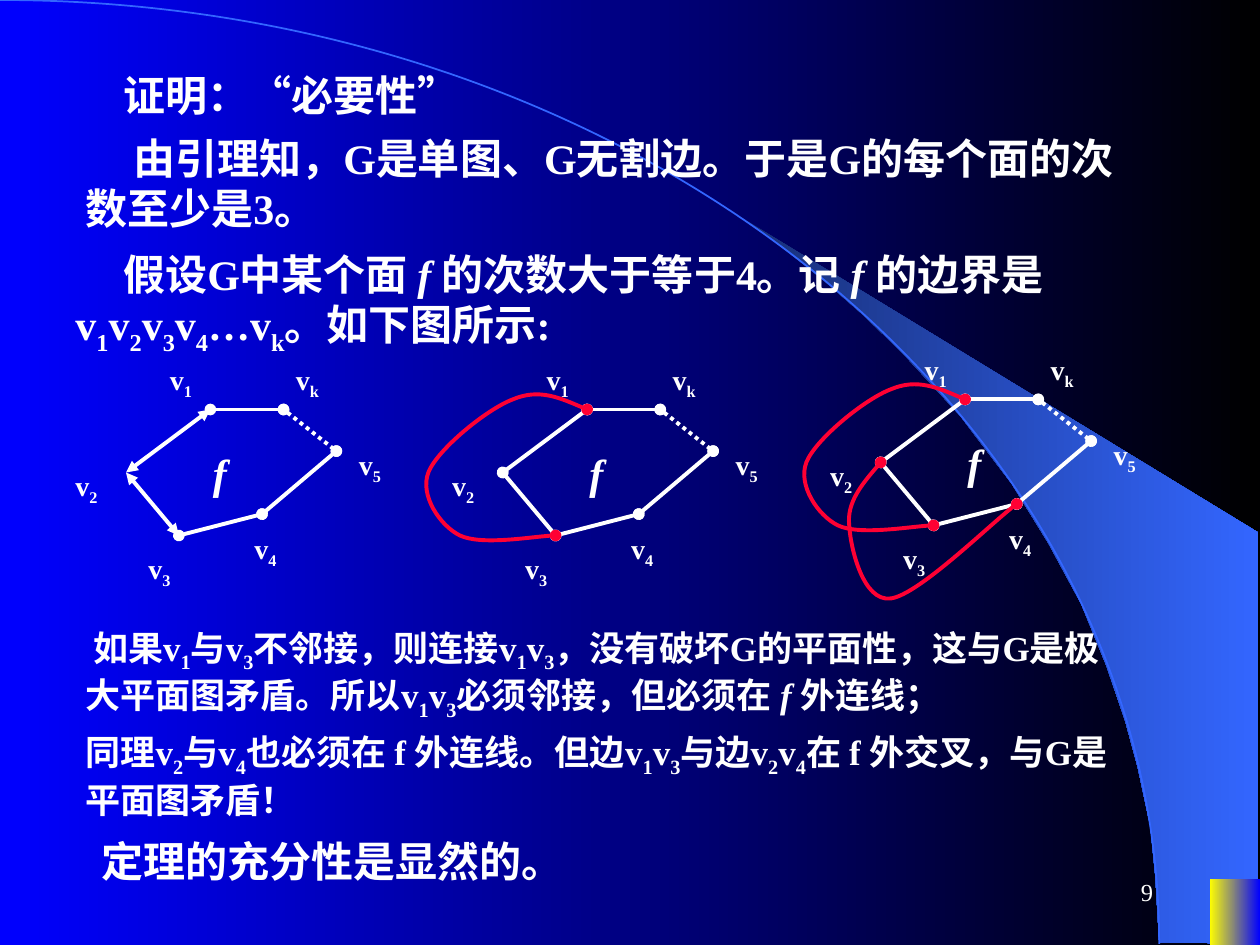
"""Build the slide proving necessity of the maximal planar graph theorem."""
import pptx
import pptx.dml.color
import pptx.enum.dml
import pptx.enum.shapes
import pptx.enum.text
import pptx.oxml
import pptx.oxml.ns
import pptx.util

Inches = pptx.util.Inches
Pt = pptx.util.Pt
FONT = "Times New Roman"
COLORS = {"white": "FFFFFF", "red": "FF0033", "blue": "0000FF", "black": "000000",
          "sky": "3366FF", "navy": "182F76", "yellow": "FFFF00"}

PASSAGES = [
    ("证明：“必要性”", (0.5, 0.5, 8.42, 0.5), 24, 15, 0.38),
    ("由引理知，G是单图、G无割边。于是G的每个面的次数至少是3。", (0.58, 1, 8.42, 0.9), 24, 15, 0.38),
    ("假设G中某个面 *f *的次数大于等于4。记 *f *的边界是v_1v_2v_3v_4…v_k。如下图所示:",
     (0.5, 1.92, 9.08, 0.96), 24, 15, 0.38),
    ("如果v_1与v_3不邻接，则连接v_1v_3，没有破坏G的平面性，这与G是极大平面图矛盾。"
     "所以v_1v_3必须邻接，但必须在 *f *外连线；", (0.58, 4.92, 8.42, 0.86), 20, 12.5, 0.06),
    ("同理v_2与v_4也必须在 f 外连线。但边v_1v_3与边v_2v_4在 f 外交叉，与G是平面图矛盾！",
     (0.58, 5.75, 8.42, 0.82), 20, 12.5, 0),
    ("定理的充分性是显然的。", (0.33, 6.58, 8.42, 0.5), 24, 15, 0.38),
]
VERTICES = {"1": (1.67, 3.25), "2": (1, 3.75), "3": (1.42, 4.25),
            "4": (2.08, 4.08), "5": (2.67, 3.58), "k": (2.25, 3.25)}
LABELS = {"1": (1.25, 2.83), "2": (0.5, 3.67), "3": (1.08, 4.33),
          "4": (1.92, 4.17), "5": (2.75, 3.5), "k": (2.25, 2.83)}
EDGES = ["12", "23", "34", "45", "1k", "k5"]
CURVE_13 = [(1.67, 3.25), (1.48, 3.17), (1.29, 3.08), (1.08, 3.17), (0.87, 3.25),
            (0.48, 3.57), (0.41, 3.75), (0.34, 3.93), (0.5, 4.17), (0.66, 4.25),
            (0.83, 4.33), (1.29, 4.25), (1.42, 4.25)]
CURVE_24 = [(1, 3.75), (0.86, 3.91), (0.73, 4.07), (0.75, 4.25), (0.76, 4.43),
            (0.86, 4.86), (1.08, 4.83), (1.3, 4.8), (1.91, 4.2), (2.08, 4.08)]
FIGURES = [
    {"shift": (0, 0), "arrows": ["12", "23"], "curves": []},
    {"shift": (2.99, 0), "arrows": [], "curves": [CURVE_13]},
    {"shift": (5.99, -0.08), "arrows": [], "curves": [CURVE_13, CURVE_24]},
]
BEAM = [(9.2, 7.48), (9.99, 7.49), (9.99, 4.23), (5.89, 1.73), (6.24, 1.99), (6.53, 2.22),
        (6.85, 2.5), (7.16, 2.8), (7.62, 3.3), (8.03, 3.84), (8.32, 4.31), (8.58, 4.79),
        (8.78, 5.28), (8.93, 5.72), (9.03, 6.09), (9.13, 6.56), (9.17, 6.96), (9.2, 7.48)]
ARC = [(0, 0), (5.08, 0), (9.2, 3.35), (9.2, 7.49)]


def rgb(name):
    return pptx.dml.color.RGBColor.from_string(COLORS[name])


def make(tag, attributes=""):
    return pptx.oxml.parse_xml(f'<{tag} {pptx.oxml.ns.nsdecls("a")} {attributes}/>')


def shade(fill, first, last):
    fill.gradient()
    fill.gradient_angle = 0
    for stop, name, position in zip(fill.gradient_stops, (first, last), (0, 1)):
        stop.color.rgb = rgb(name)
        stop.position = position


def moved(points, shift):
    return [(x + shift[0], y + shift[1]) for x, y in points]


def sampled(points, steps=20):
    """Return points along a chain of cubic curves."""
    result = [points[0]]
    for start in range(0, len(points) - 1, 3):
        corners = points[start:start + 4]
        for step in range(1, steps + 1):
            t = step / steps
            weights = ((1 - t) ** 3, 3 * t * (1 - t) ** 2, 3 * t * t * (1 - t), t ** 3)
            result.append(tuple(sum(w * c[axis] for w, c in zip(weights, corners))
                                for axis in (0, 1)))
    return result


def add_outline(shapes, points, close=False):
    places = [(Inches(x), Inches(y)) for x, y in points]
    builder = shapes.build_freeform(*places[0])
    builder.add_line_segments(places[1:], close=close)
    outline = builder.convert_to_shape()
    outline.shadow.inherit = False
    return outline


def add_curve(shapes, points, color, width, ends=None):
    """Size an outline by its sampled extent, then give it true cubic segments."""
    curve = add_outline(shapes, sampled(points))
    track = curve._element.find(".//" + pptx.oxml.ns.qn("a:path"))
    for segment in list(track)[1:]:
        track.remove(segment)
    for start in range(1, len(points), 3):
        segment = make("a:cubicBezTo")
        for x, y in points[start:start + 3]:
            segment.append(make("a:pt", f'x="{Inches(x) - curve.left}" y="{Inches(y) - curve.top}"'))
        track.append(segment)
    curve.fill.background()
    style_line(curve.line, color, width, ends)


def style_line(line, color, width, ends=None):
    line.color.rgb = rgb(color)
    line.width = Pt(width)
    if ends:
        for tag in ("a:headEnd", "a:tailEnd"):
            line._get_or_add_ln().append(make(tag, f'type="{ends}"'))


def add_edge(shapes, start, end, ends, dotted):
    edge = shapes.add_connector(pptx.enum.shapes.MSO_CONNECTOR.STRAIGHT,
                                *(Inches(value) for value in (*start, *end)))
    if dotted:
        edge.line.dash_style = pptx.enum.dml.MSO_LINE.ROUND_DOT
    style_line(edge.line, "white", 2.25, ends)
    edge._element.spPr.append(make("a:effectLst"))


def add_span(para, text, size, bold, italic=False, lowered=False):
    if not text:
        return
    span = para.add_run()
    span.text = text
    font = span.font
    font.name, font.size, font.bold, font.italic = FONT, Pt(size), bold, italic
    font.color.rgb = rgb("white")
    if lowered:
        font._element.set("baseline", "-25000")


def add_text(shapes, text, place, size, before=0, indent=0, wrap=True, bold=True):
    """Add text in which "_" lowers the next character and "*" switches italics."""
    box = shapes.add_textbox(*(Inches(value) for value in place))
    frame = box.text_frame
    frame.word_wrap = wrap
    frame.auto_size = pptx.enum.text.MSO_AUTO_SIZE.SHAPE_TO_FIT_TEXT
    para = frame.paragraphs[0]
    para.space_before = Pt(before)
    if indent:
        para._p.get_or_add_pPr().set("indent", str(Inches(indent)))
    for number, part in enumerate(text.split("*")):
        italic = number % 2 == 1
        first, *rest = part.split("_")
        add_span(para, first, size, bold, italic)
        for piece in rest:
            add_span(para, piece[0], size, bold, italic, lowered=True)
            add_span(para, piece[1:], size, bold, italic)
    return box


def add_figure(page, shift, arrows, curves):
    shapes = page.shapes.add_group_shape().shapes
    for edge in EDGES:
        start, end = moved([VERTICES[name] for name in edge], shift)
        add_edge(shapes, start, end, "triangle" if edge in arrows else "oval", edge == "k5")
    for name, point in LABELS.items():
        add_text(shapes, f"v_{name}", (*moved([point], shift)[0], 0.52, 0.41), 16)
    add_text(shapes, "*f", (*moved([(1.59, 3.5)], shift)[0], 0.31, 0.5), 24, wrap=False)
    for curve in curves:
        add_curve(shapes, moved(curve, shift), "red", 2.25, "oval")


def add_backdrop(page):
    shade(page.background.fill, "blue", "black")
    beam = add_outline(page.shapes, BEAM, close=True)
    shade(beam.fill, "navy", "sky")
    beam.line.fill.background()
    add_curve(page.shapes, ARC, "sky", 1)
    corner = page.shapes.add_shape(pptx.enum.shapes.MSO_SHAPE.RECTANGLE, Inches(9.6),
                                   Inches(6.98), Inches(0.4), Inches(0.52))
    corner.shadow.inherit = False
    shade(corner.fill, "yellow", "blue")
    corner.line.fill.background()


def main():
    deck = pptx.Presentation()
    deck.slide_width, deck.slide_height = Inches(10), Inches(7.5)
    page = deck.slides.add_slide(deck.slide_layouts[6])
    add_backdrop(page)
    number = add_text(page.shapes, "9", (7.17, 6.83, 2.08, 0.5), 14, bold=False).text_frame
    number.auto_size = pptx.enum.text.MSO_AUTO_SIZE.NONE
    number.vertical_anchor = pptx.enum.text.MSO_ANCHOR.MIDDLE
    number.paragraphs[0].alignment = pptx.enum.text.PP_ALIGN.RIGHT
    for passage in PASSAGES:
        add_text(page.shapes, *passage)
    for figure in FIGURES:
        add_figure(page, **figure)
    deck.save("out.pptx")


if __name__ == "__main__":
    main()
